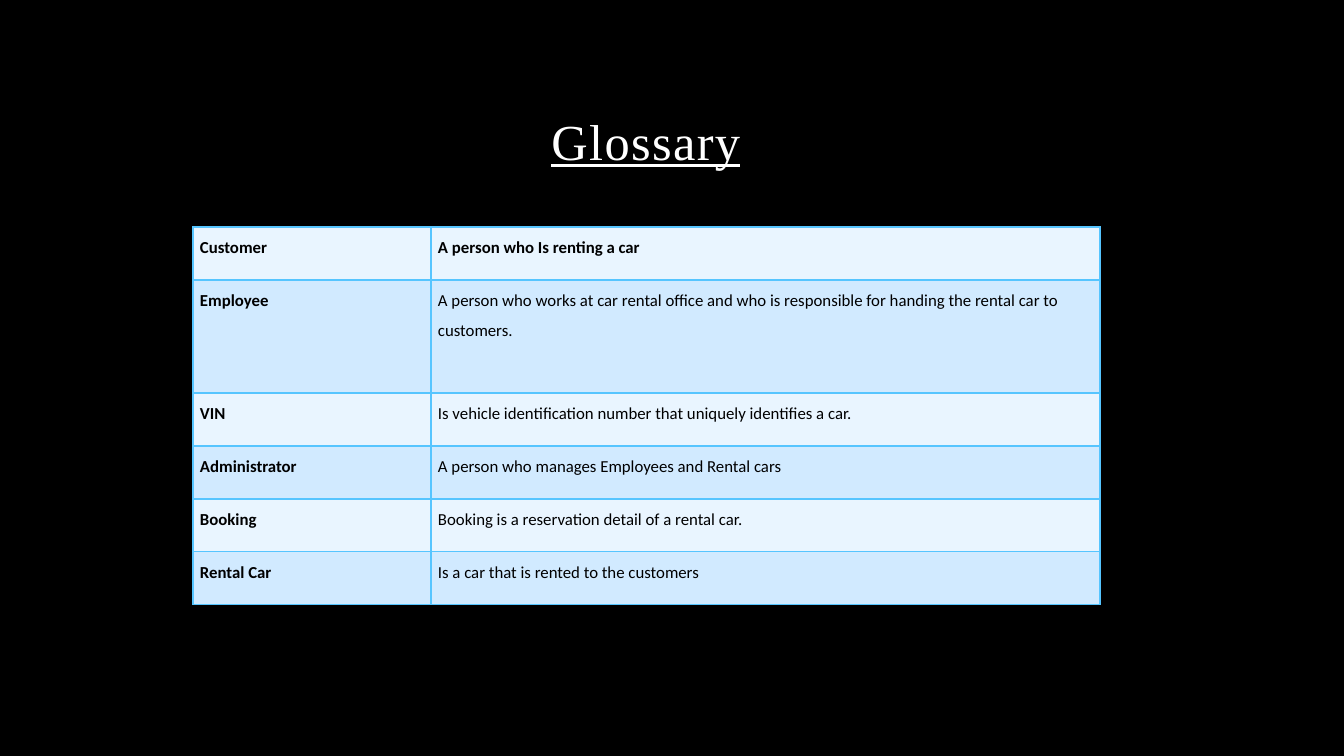
from lxml import etree
from pptx import Presentation
from pptx.dml.color import RGBColor
from pptx.enum.text import MSO_ANCHOR, PP_ALIGN
from pptx.oxml.ns import qn
from pptx.util import Pt

TITLE = "Glossary"
ENTRIES = [
    ("Customer", "A person who Is renting a car"),
    ("Employee", "A person who works at car rental office and who is responsible "
                 "for handing the rental car to customers."),
    ("VIN", "Is vehicle identification number that uniquely identifies a car."),
    ("Administrator", "A person who manages Employees and Rental cars"),
    ("Booking", "Booking is a reservation detail of a rental car."),
    ("Rental Car", "Is a car that is rented to the customers"),
]
COLUMN_WIDTHS = (238, 669)
ROW_HEIGHT = 53
TALL_ROW_HEIGHT = 113
TALL_ROW = 1
BAND_FILLS = ("E9F5FF", "D1EAFF")
BORDER = "56C5FF"


def px(length):
    return round(length * 914400 / 100.8)


def color(value):
    return RGBColor.from_string(value)


def add_text(paragraph, text, font_name, size, text_color, bold=False):
    run = paragraph.add_run()
    run.text = text
    run.font.name = font_name
    run.font.size = Pt(size)
    run.font.bold = bold
    run.font.color.rgb = color(text_color)
    return run


def add_borders(cell):
    properties = cell._tc.get_or_add_tcPr()
    for index, side in enumerate(("lnL", "lnR", "lnT", "lnB")):
        line = etree.Element(qn(f"a:{side}"), w=str(Pt(1)))
        fill = etree.SubElement(line, qn("a:solidFill"))
        etree.SubElement(fill, qn("a:srgbClr"), val=BORDER)
        properties.insert(index, line)


def add_title(slide):
    box = slide.shapes.add_textbox(px(142), px(25), px(1008), px(151))
    frame = box.text_frame
    frame.word_wrap = True
    frame.vertical_anchor = MSO_ANCHOR.BOTTOM
    paragraph = frame.paragraphs[0]
    paragraph.alignment = PP_ALIGN.CENTER
    paragraph.line_spacing = 0.9
    run = add_text(paragraph, TITLE, "Times New Roman", 36, "FFFFFF")
    run.font.underline = True
    run.font._element.set("spc", "100")


def add_glossary(slide):
    heights = [TALL_ROW_HEIGHT if row == TALL_ROW else ROW_HEIGHT
               for row in range(len(ENTRIES))]
    table = slide.shapes.add_table(
        len(ENTRIES), len(COLUMN_WIDTHS), px(193), px(227),
        px(sum(COLUMN_WIDTHS)), px(sum(heights))).table
    for column, width in zip(table.columns, COLUMN_WIDTHS):
        column.width = px(width)
    for row_index, entry in enumerate(ENTRIES):
        table.rows[row_index].height = px(heights[row_index])
        for column_index, text in enumerate(entry):
            cell = table.cell(row_index, column_index)
            cell.margin_left = cell.margin_right = px(7)
            cell.margin_top = cell.margin_bottom = 0
            cell.fill.solid()
            cell.fill.fore_color.rgb = color(BAND_FILLS[row_index % 2])
            add_borders(cell)
            paragraph = cell.text_frame.paragraphs[0]
            paragraph.line_spacing = 1.5
            bold = row_index == 0 or column_index == 0
            add_text(paragraph, text, "Calibri", 12, "000000", bold)


def main():
    presentation = Presentation()
    presentation.slide_width = px(1344)
    presentation.slide_height = px(756)
    slide = presentation.slides.add_slide(presentation.slide_layouts[6])
    slide.background.fill.solid()
    slide.background.fill.fore_color.rgb = color("000000")
    add_title(slide)
    add_glossary(slide)
    presentation.save("out.pptx")


if __name__ == "__main__":
    main()
